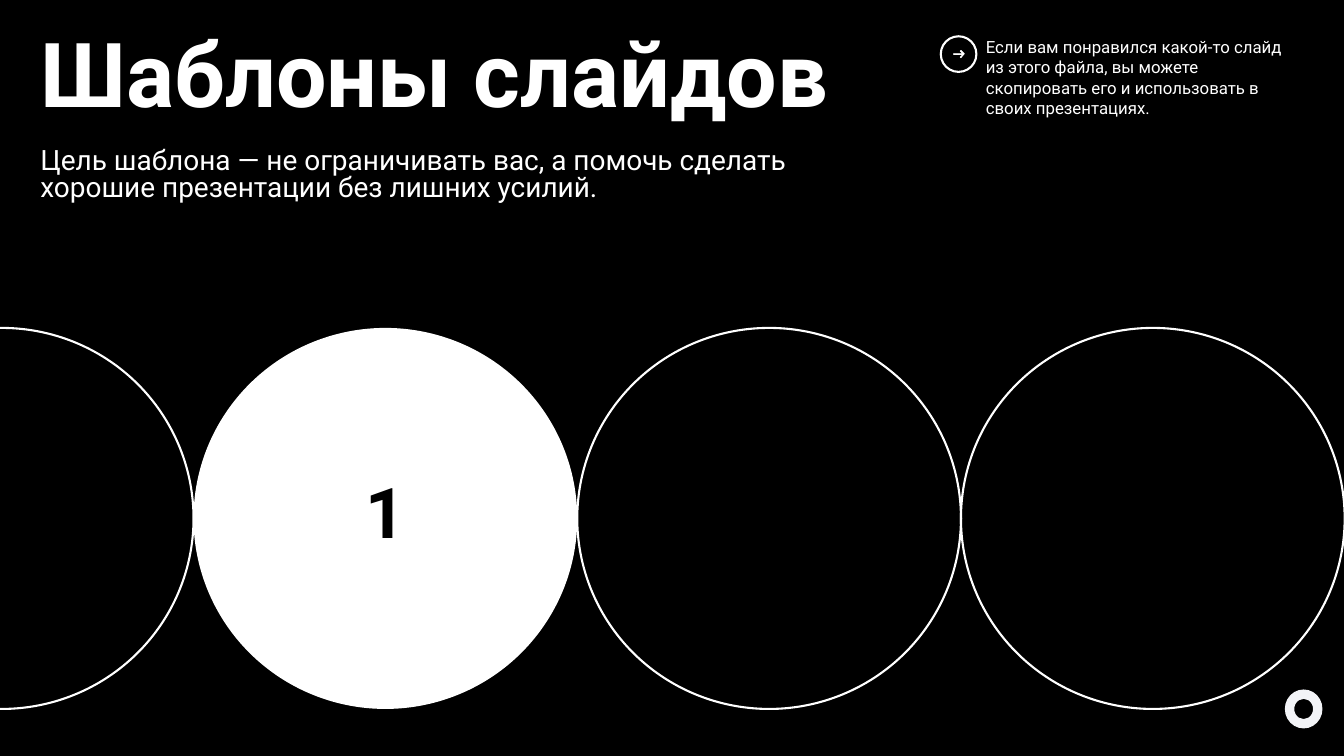
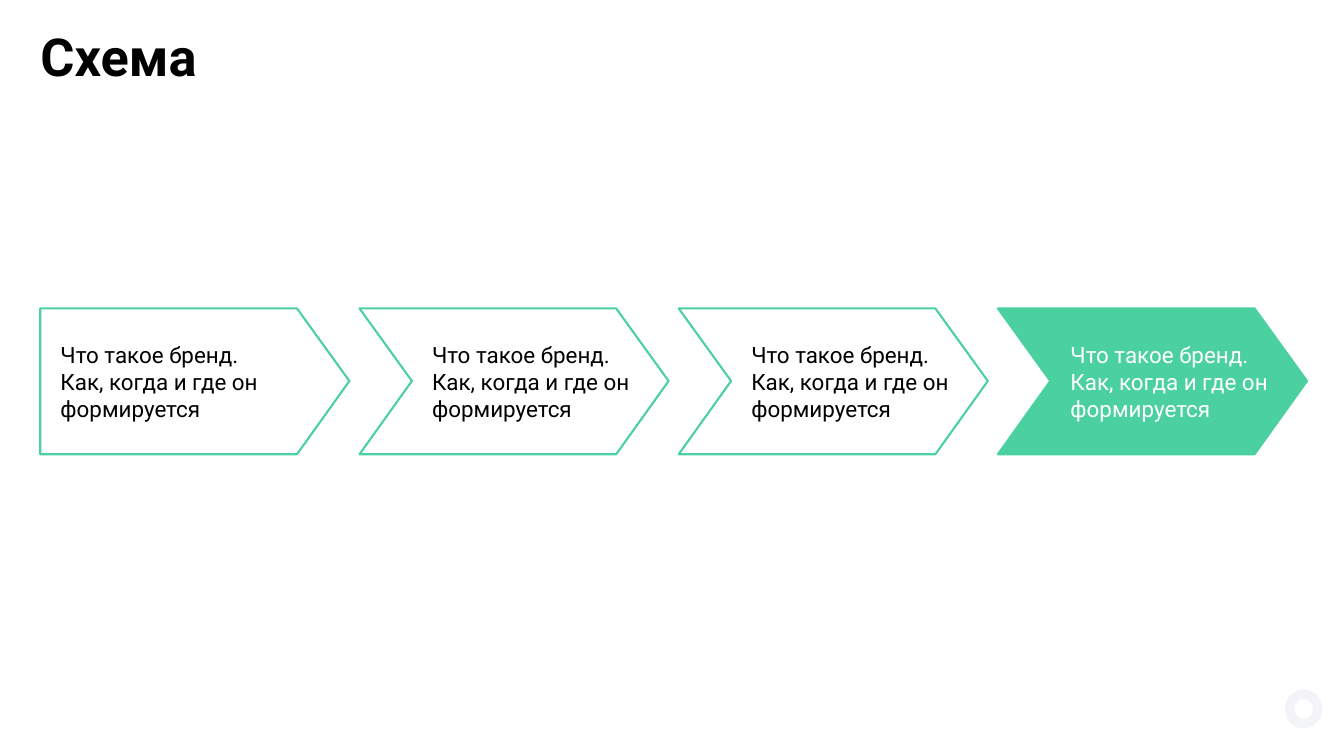
from pptx import Presentation
from pptx import util as u
from pptx.dml.color import RGBColor
from pptx.enum import shapes, text

EMU_PER_PX = 9144
FONT = "Roboto"
BLACK, WHITE, GREEN, PALE = "000000", "FFFFFF", "4BD0A0", "F3F4F7"
LEFT, TOP = 60, 54


def px(value):
    return u.Emu(value * EMU_PER_PX)


def color(value):
    return RGBColor.from_string(value)


def place(shape, left, top, width, height):
    shape.left, shape.top = px(left), px(top)
    shape.width, shape.height = px(width), px(height)


def write(shape, words, size, ink, bold=False, spacing=None, align=text.PP_ALIGN.LEFT,
          anchor=text.MSO_ANCHOR.TOP, insets=(0, 0, 0, 0)):
    frame = shape.text_frame
    frame.word_wrap = True
    frame.auto_size = text.MSO_AUTO_SIZE.NONE
    frame.vertical_anchor = anchor
    frame.margin_left, frame.margin_top, frame.margin_right, frame.margin_bottom = map(px, insets)
    frame.text = words
    paragraph = frame.paragraphs[0]
    paragraph.alignment = align
    paragraph.space_before = u.Pt(0)
    if spacing:
        paragraph.line_spacing = spacing
    for run in paragraph.runs:
        run.font.name = FONT
        run.font.size = u.Pt(size)
        run.font.bold = bold
        run.font.color.rgb = color(ink)


def paint(shape, fill=None, line=None, weight=2.25):
    shape.shadow.inherit = False
    if fill:
        shape.fill.solid()
        shape.fill.fore_color.rgb = color(fill)
    else:
        shape.fill.background()
    if line:
        shape.line.color.rgb = color(line)
        shape.line.width = u.Pt(weight)
    else:
        shape.line.fill.background()


def add_preset(slide, kind, left, top, width, height, fill=None, line=None):
    shape = slide.shapes.add_shape(kind, px(left), px(top), px(width), px(height))
    paint(shape, fill, line)
    return shape


def add_outline(slide, points, fill, line, weight=2.25):
    builder = slide.shapes.build_freeform(*points[0], scale=EMU_PER_PX)
    builder.add_line_segments(points[1:], close=True)
    shape = builder.convert_to_shape()
    paint(shape, fill, line, weight)
    return shape


def add_slide(presentation, layout_index, background):
    slide = presentation.slides.add_slide(presentation.slide_layouts[layout_index])
    slide.background.fill.solid()
    slide.background.fill.fore_color.rgb = color(background)
    add_preset(slide, shapes.MSO_SHAPE.DONUT, 1912, 1026, 56, 58, PALE)
    return slide


def set_title(slide, words, size, ink, width, height, inset_top=0):
    title = slide.shapes.title
    place(title, LEFT, TOP, width, height)
    write(title, words, size, ink, True, 0.8, insets=(0, inset_top, 0, 0))


def add_circles(slide, numbered):
    width, height = 571, 567
    for index in range(4):
        left = -283 + index * width
        fill = WHITE if index == numbered else None
        line = None if index == numbered else WHITE
        circle = add_preset(slide, shapes.MSO_SHAPE.OVAL, left, 488, width, height, fill, line)
        if index == numbered:
            write(circle, "1", 75, BLACK, True, 0.8, text.PP_ALIGN.CENTER,
                  text.MSO_ANCHOR.MIDDLE, (10, 10, 10, 10))


def add_hint(slide, words):
    box = slide.shapes.add_textbox(px(1467), px(55), px(473), px(267))
    write(box, words, 18, WHITE)
    add_preset(slide, shapes.MSO_SHAPE.OVAL, 1400, 54, 53, 53, BLACK, WHITE)
    arrow = [(1419, 80), (1433, 80), (1429, 76), (1430, 75), (1435, 80),
             (1430, 86), (1429, 85), (1433, 81), (1419, 81)]
    add_outline(slide, arrow, WHITE, WHITE, 0.75)


def add_step(slide, index, words, fill, ink):
    width, height, tip = 460, 217, 78
    left, top = LEFT + index * 475, 459
    right, bottom, middle = left + width, top + height, top + height // 2
    points = [(left, top), (right - tip, top), (right, middle), (right - tip, bottom), (left, bottom)]
    if index:
        points.append((left + tip, middle))
    step = add_outline(slide, points, fill, GREEN)
    indent = 30 + (tip if index else 0)
    write(step, words, 24, ink, anchor=text.MSO_ANCHOR.MIDDLE, insets=(indent, 10, 10, 10))


def build_cover(presentation):
    slide = add_slide(presentation, 0, BLACK)
    add_circles(slide, numbered=1)
    add_hint(slide, "Если вам понравился какой-то слайд из этого файла, вы можете "
                    "скопировать его и использовать в своих презентациях.")
    set_title(slide, "Шаблоны слайдов", 96, WHITE, 1252, 150, 4)
    subtitle = slide.placeholders[1]
    place(subtitle, LEFT, 222, 1252, 183)
    write(subtitle, "Цель шаблона — не ограничивать вас, а помочь сделать "
                    "хорошие презентации без лишних усилий.", 30, WHITE, spacing=0.8)


def build_scheme(presentation):
    slide = add_slide(presentation, 5, WHITE)
    set_title(slide, "Схема", 56, BLACK, 1563, 162)
    step_styles = [(WHITE, BLACK)] * 3 + [(GREEN, WHITE)]
    for index, (fill, ink) in enumerate(step_styles):
        add_step(slide, index, "Что такое бренд.\vКак, когда и где он формируется", fill, ink)


def main():
    presentation = Presentation()
    presentation.slide_width, presentation.slide_height = px(2000), px(1125)
    build_cover(presentation)
    build_scheme(presentation)
    presentation.save("out.pptx")


if __name__ == "__main__":
    main()
